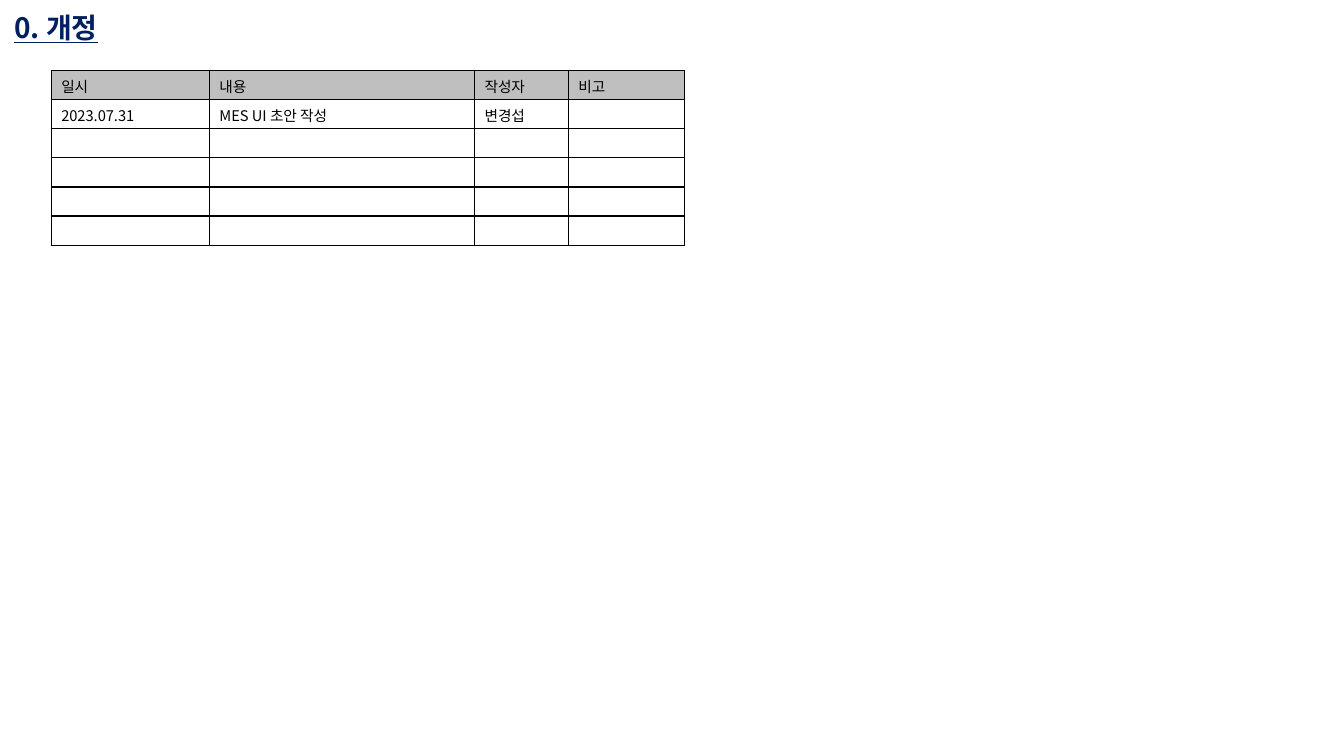
import dataclasses
import pptx
import pptx.util
import pptx.dml.color
import pptx.enum.text
import pptx.oxml
import pptx.oxml.ns

Pt = pptx.util.Pt
RGB = pptx.dml.color.RGBColor.from_string
qn = pptx.oxml.ns.qn


@dataclasses.dataclass(frozen=True)
class Theme:
    """Hold the colours, face and type sizes of the slide."""
    face: str = "Noto Sans CJK KR"
    navy: str = "002060"
    black: str = "000000"
    grey: str = "BFBFBF"
    head: float = 20
    body: float = 10.5
    rule: float = 1


THEME = Theme()
HEADS = ["일시", "내용", "작성자", "비고"]
LOG = [["2023.07.31", "MES UI 초안 작성", "변경섭", ""]]
BLANKS = 4
WIDTHS = [113, 189.4, 67, 82.9]
ROW = 20.8


def style(para, size, color):
    """Set the font of a paragraph for Latin and Korean text."""
    font = para.font
    font.name, font.size = THEME.face, Pt(size)
    font.color.rgb = RGB(color)
    latin = para._p.pPr.find(qn("a:defRPr")).find(qn("a:latin"))
    east = pptx.oxml.parse_xml(
        f'<a:ea {pptx.oxml.ns.nsdecls("a")} typeface="{THEME.face}"/>')
    latin.addnext(east)


def edge(cell):
    """Draw a thin line on all four sides of a cell."""
    props = cell._tc.get_or_add_tcPr()
    for side in "LRTB":
        props.append(pptx.oxml.parse_xml(
            f'<a:ln{side} {pptx.oxml.ns.nsdecls("a")} w="{Pt(THEME.rule)}">'
            f'<a:solidFill><a:srgbClr val="{THEME.black}"/></a:solidFill>'
            f'</a:ln{side}>'))


def title(slide, text, left, top, width, height):
    """Place the underlined heading in the title placeholder."""
    shape = slide.shapes.title
    shape.left, shape.top = Pt(left), Pt(top)
    shape.width, shape.height = Pt(width), Pt(height)
    frame = shape.text_frame
    frame.text = text
    frame.word_wrap = True
    frame.auto_size = pptx.enum.text.MSO_AUTO_SIZE.SHAPE_TO_FIT_TEXT
    frame.vertical_anchor = pptx.enum.text.MSO_ANCHOR.TOP
    para = frame.paragraphs[0]
    para.alignment = pptx.enum.text.PP_ALIGN.LEFT
    style(para, THEME.head, THEME.navy)
    para.font.bold = para.font.underline = True


def history(slide, left, top):
    """Place the revision table with its corner at the given point."""
    rows = [HEADS, *LOG] + [[""] * len(HEADS)] * BLANKS
    table = slide.shapes.add_table(
        len(rows), len(HEADS), Pt(left), Pt(top),
        Pt(sum(WIDTHS)), Pt(ROW * len(rows))).table
    table.first_row = table.horz_banding = False
    for col, width in zip(table.columns, WIDTHS):
        col.width = Pt(width)
    for r, row in enumerate(rows):
        table.rows[r].height = Pt(ROW)
        for c, text in enumerate(row):
            cell = table.cell(r, c)
            cell.text = text
            style(cell.text_frame.paragraphs[0], THEME.body, THEME.black)
            edge(cell)
            if r == 0:
                cell.fill.solid()
                cell.fill.fore_color.rgb = RGB(THEME.grey)
            else:
                cell.fill.background()


def main():
    """Build and save the revision slide."""
    deck = pptx.Presentation()
    deck.slide_width, deck.slide_height = Pt(960), Pt(540)
    slide = deck.slides.add_slide(deck.slide_layouts[5])
    history(slide, 36.6, 50.4)
    title(slide, "0. 개정", 2.9, 3.6, 633, 31.7)
    deck.save("out.pptx")


if __name__ == "__main__":
    main()
